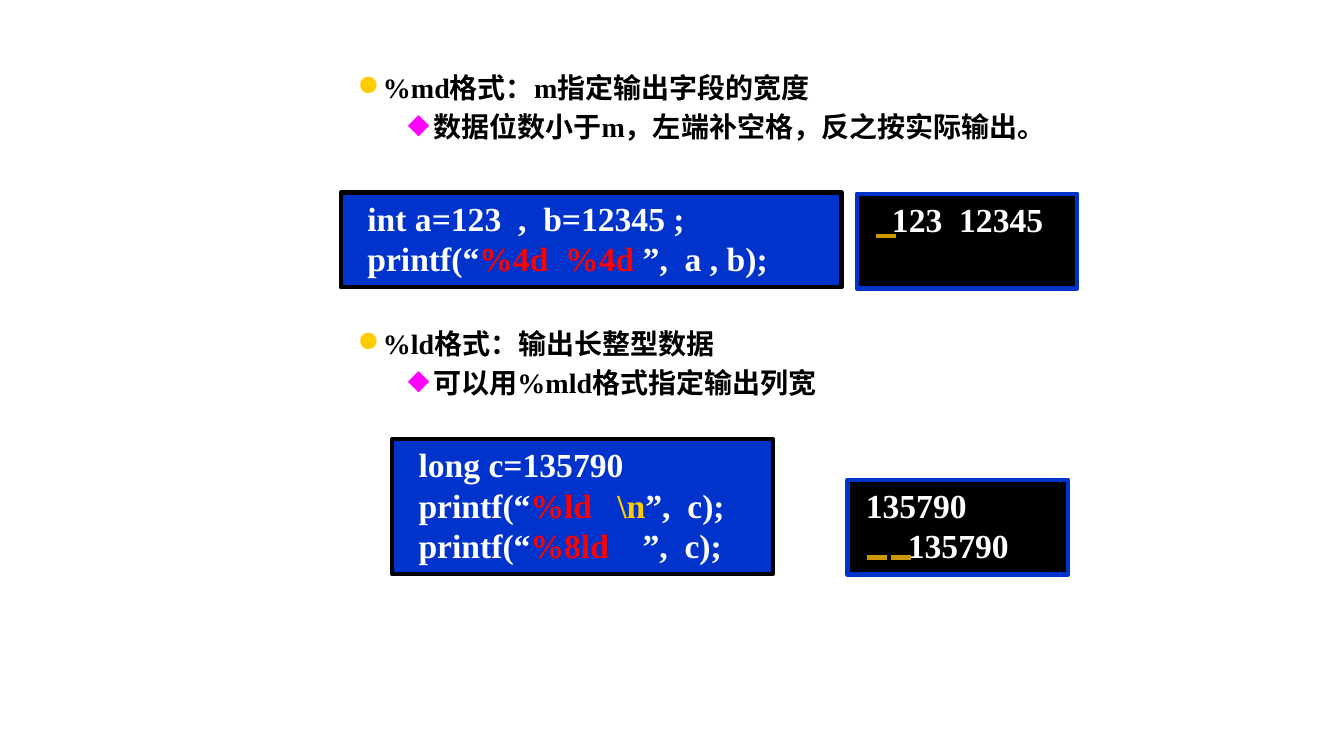
from dataclasses import dataclass

import pptx
import pptx.dml.color
import pptx.enum.shapes
import pptx.enum.text
import pptx.oxml
import pptx.oxml.ns
import pptx.util
from pptx.util import Cm


@dataclass(frozen=True)
class Theme:
    font: str = "Times New Roman"
    note_size: float = 20
    code_size: float = 24
    code_leading: float = 28.8
    line_width: float = 3
    black: str = "000000"
    white: str = "FFFFFF"
    blue: str = "0033CC"
    red: str = "FF0000"
    yellow: str = "FFCC00"
    magenta: str = "FF00FF"
    ochre: str = "CC9900"


THEME = Theme()
PANEL_WIDTH = 5.56
TWO_LINES = 2.39
THREE_LINES = 3.4
CODE_INDENT = 0.42


def rgb(code):
    return pptx.dml.color.RGBColor.from_string(code)


def add_span(para, text, size, color):
    span = para.add_run()
    span.text = text
    span.font.name = THEME.font
    span.font.size = pptx.util.Pt(size)
    span.font.bold = True
    span.font.color.rgb = rgb(color)


def paragraphs(frame, count):
    """Yield the frame's first paragraph, then new ones, up to count."""
    for index in range(count):
        yield frame.add_paragraph() if index else frame.paragraphs[0]


def set_bullet(para, char, color, indent):
    properties = para._p.get_or_add_pPr()
    properties.set("marL", str(Cm(indent)))
    properties.set("indent", str(-Cm(0.64)))
    namespace = pptx.oxml.ns.nsdecls("a")
    for xml in (
        f'<a:buClr {namespace}><a:srgbClr val="{color}"/></a:buClr>',
        f'<a:buChar {namespace} char="{char}"/>',
    ):
        properties.append(pptx.oxml.parse_xml(xml))


def add_note(page, top, heading, detail):
    """Add a format's heading with its indented detail below."""
    box = page.shapes.add_textbox(Cm(4.95), Cm(top), Cm(21.56), Cm(2.24))
    frame = box.text_frame
    frame.word_wrap = True
    rows = (
        (heading, 3, "●", THEME.yellow, 4.45),
        (detail, 4, "◆", THEME.magenta, 5.72),
    )
    for para, row in zip(paragraphs(frame, len(rows)), rows):
        text, level, char, color, indent = row
        para.level = level
        set_bullet(para, char, color, indent)
        if level == 4:
            para.space_before = pptx.util.Pt(4)
        add_span(para, text, THEME.note_size, THEME.black)


def add_panel(shapes, left, top, width, height, fill, border, rows):
    """Add a framed panel; each row is an indent and its (text, color) spans."""
    box = shapes.add_shape(
        pptx.enum.shapes.MSO_SHAPE.RECTANGLE,
        Cm(left), Cm(top), Cm(width), Cm(height),
    )
    box.shadow.inherit = False
    box.fill.solid()
    box.fill.fore_color.rgb = rgb(fill)
    box.line.color.rgb = rgb(border)
    box.line.width = pptx.util.Pt(THEME.line_width)
    frame = box.text_frame
    frame.word_wrap = True
    frame.vertical_anchor = pptx.enum.text.MSO_ANCHOR.TOP
    for para, (indent, spans) in zip(paragraphs(frame, len(rows)), rows):
        para.alignment = pptx.enum.text.PP_ALIGN.LEFT
        para.line_spacing = pptx.util.Pt(THEME.code_leading)
        para._p.get_or_add_pPr().set("marL", str(Cm(indent)))
        for text, color in spans:
            add_span(para, text, THEME.code_size, color)


def add_code(page, left, top, width, height, lines):
    rows = [(CODE_INDENT, spans) for spans in lines]
    add_panel(page.shapes, left, top, width, height, THEME.blue, THEME.black, rows)


def add_output(page, left, top, lines, blanks, blank_offset):
    """Add a console panel with dashes marking the padding blanks."""
    group = page.shapes.add_group_shape()
    rows = [(indent, [(text, THEME.white)]) for indent, text in lines]
    add_panel(group.shapes, left, top, PANEL_WIDTH, TWO_LINES,
              THEME.black, THEME.blue, rows)
    for index in range(blanks):
        start = left + 0.48 + 0.61 * index
        level = Cm(top + blank_offset)
        dash = group.shapes.add_connector(
            pptx.enum.shapes.MSO_CONNECTOR.STRAIGHT,
            Cm(start), level, Cm(start + 0.51), level,
        )
        dash.line.color.rgb = rgb(THEME.ochre)
        dash.line.width = pptx.util.Pt(THEME.line_width)
        namespace = pptx.oxml.ns.nsdecls("a")
        dash._element.spPr.append(pptx.oxml.parse_xml(f"<a:effectLst {namespace}/>"))


def main():
    deck = pptx.Presentation()
    deck.slide_width, deck.slide_height = Cm(33.87), Cm(19.05)
    page = deck.slides.add_slide(deck.slide_layouts[6])
    white, red, yellow = THEME.white, THEME.red, THEME.yellow

    add_note(page, 1.65, "%md格式：m指定输出字段的宽度",
             "数据位数小于m，左端补空格，反之按实际输出。")
    add_code(page, 8.59, 4.85, 12.62, TWO_LINES, [
        [("int a=123  ,  b=12345 ;", white)],
        [("printf(“", white), ("%4d  %4d", red), (" ”,  a , b);", white)],
    ])
    add_note(page, 8.1, "%ld格式：输出长整型数据", "可以用%mld格式指定输出列宽")
    add_code(page, 9.88, 11.07, 9.6, THREE_LINES, [
        [("long c=135790", white)],
        [("printf(“", white), ("%ld   ", red), ("\\n", yellow), ("”,  c);", white)],
        [("printf(“", white), ("%8ld    ", red), ("”,  c);", white)],
    ])
    add_output(page, 21.36, 12.09, [(0.21, "135790"), (1.27, "135790")], 2, 1.96)
    add_output(page, 21.59, 4.88, [(0.64, "123  12345")], 1, 1.06)
    deck.save("out.pptx")


if __name__ == "__main__":
    main()
